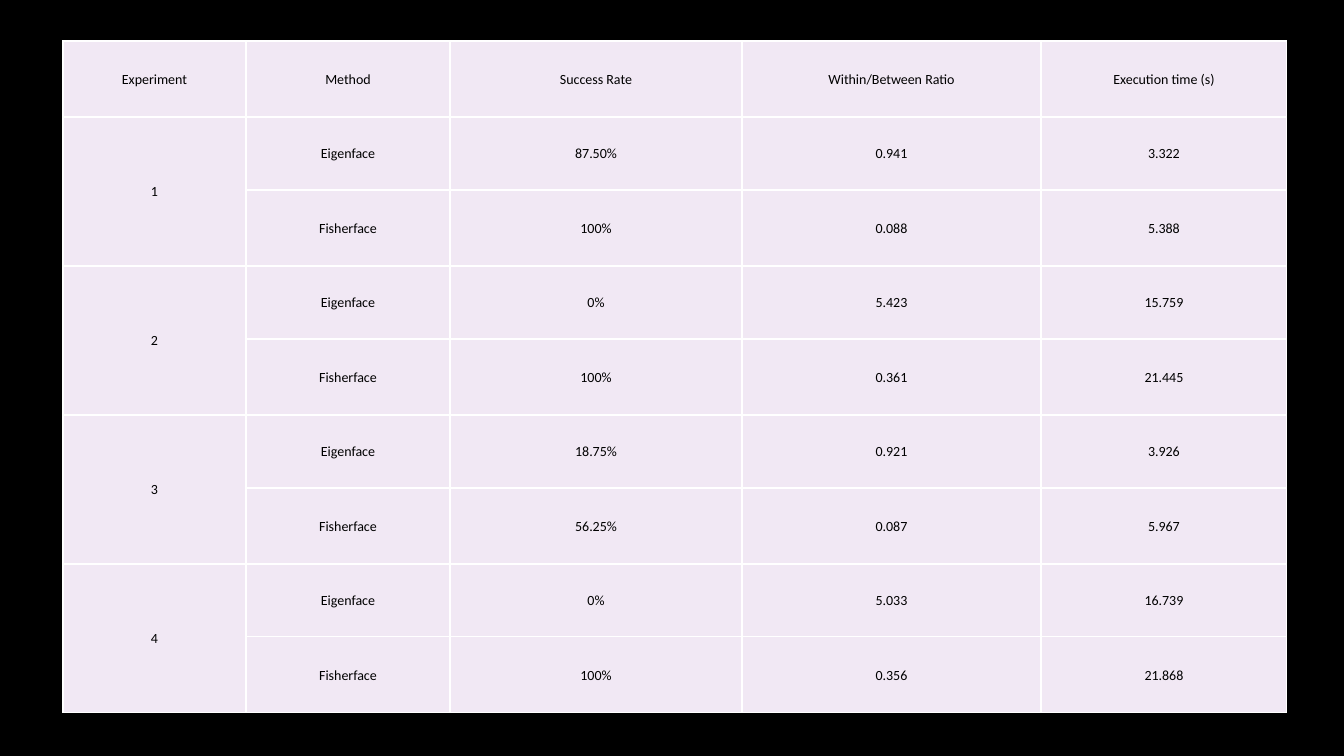
from lxml.etree import SubElement
from pptx import Presentation
from pptx.dml.color import RGBColor
from pptx.enum.text import MSO_ANCHOR, PP_ALIGN
from pptx.oxml.ns import qn
from pptx.util import Pt

SCALE = 914400 / 100.8


def px(length):
    return round(length * SCALE)


def color(code):
    return RGBColor.from_string(code)


class Deck:
    font, size, ink = "Calibri", 10, "000000"
    back, tint, rule = "000000", "F1E8F4", "FFFFFF"

    def __init__(self, show):
        self.slide = show.slides.add_slide(show.slide_layouts[6])
        fill = self.slide.background.fill
        fill.solid()
        fill.fore_color.rgb = color(self.back)

    def edge(self, cell):
        props = cell._tc.get_or_add_tcPr()
        for side in ("lnL", "lnR", "lnT", "lnB"):
            line = SubElement(props, qn("a:" + side), w=str(Pt(1)))
            paint = SubElement(line, qn("a:solidFill"))
            SubElement(paint, qn("a:srgbClr"), val=self.rule)

    def cell(self, cell, text):
        self.edge(cell)
        cell.fill.solid()
        cell.fill.fore_color.rgb = color(self.tint)
        cell.vertical_anchor = MSO_ANCHOR.MIDDLE
        cell.margin_left = cell.margin_right = cell.margin_top = px(1)
        cell.margin_bottom = 0
        cell.text_frame.text = text
        para = cell.text_frame.paragraphs[0]
        para.alignment = PP_ALIGN.CENTER
        font = para.font
        for run in para.runs:
            font = run.font
        font.name, font.size = self.font, Pt(self.size)
        font.color.rgb = color(self.ink)

    def table(self, left, top, widths, heights, rows):
        frame = self.slide.shapes.add_table(
            len(heights), len(widths), px(left), px(top),
            px(sum(widths)), px(sum(heights)))
        grid = frame.table
        for col, width in zip(grid.columns, widths):
            col.width = px(width)
        for row, height in zip(grid.rows, heights):
            row.height = px(height)
        for r, texts in enumerate(rows):
            for c, text in enumerate(texts):
                self.cell(grid.cell(r, c), text)
        return grid


show = Presentation()
show.slide_width, show.slide_height = px(1344), px(756)
deck = Deck(show)

# Results: a pair of methods for each experiment
heads = ["Experiment", "Method", "Success Rate",
         "Within/Between Ratio", "Execution time (s)"]
methods = ["Eigenface", "Fisherface"]
results = [
    ("87.50%", "0.941", "3.322"), ("100%", "0.088", "5.388"),
    ("0%", "5.423", "15.759"), ("100%", "0.361", "21.445"),
    ("18.75%", "0.921", "3.926"), ("56.25%", "0.087", "5.967"),
    ("0%", "5.033", "16.739"), ("100%", "0.356", "21.868"),
]
rows = [heads]
for i, values in enumerate(results):
    trial, turn = divmod(i, 2)
    label = "" if turn else str(trial + 1)
    rows.append([label, methods[turn], *values])

# Table, with each experiment number spanning its two rows
widths = [183, 204, 292, 299, 246]
heights = [76] + [73, 76] * 4
grid = deck.table(63, 41, widths, heights, rows)
for top in range(1, len(rows), 2):
    grid.cell(top, 0).merge(grid.cell(top + 1, 0))

show.save("out.pptx")
